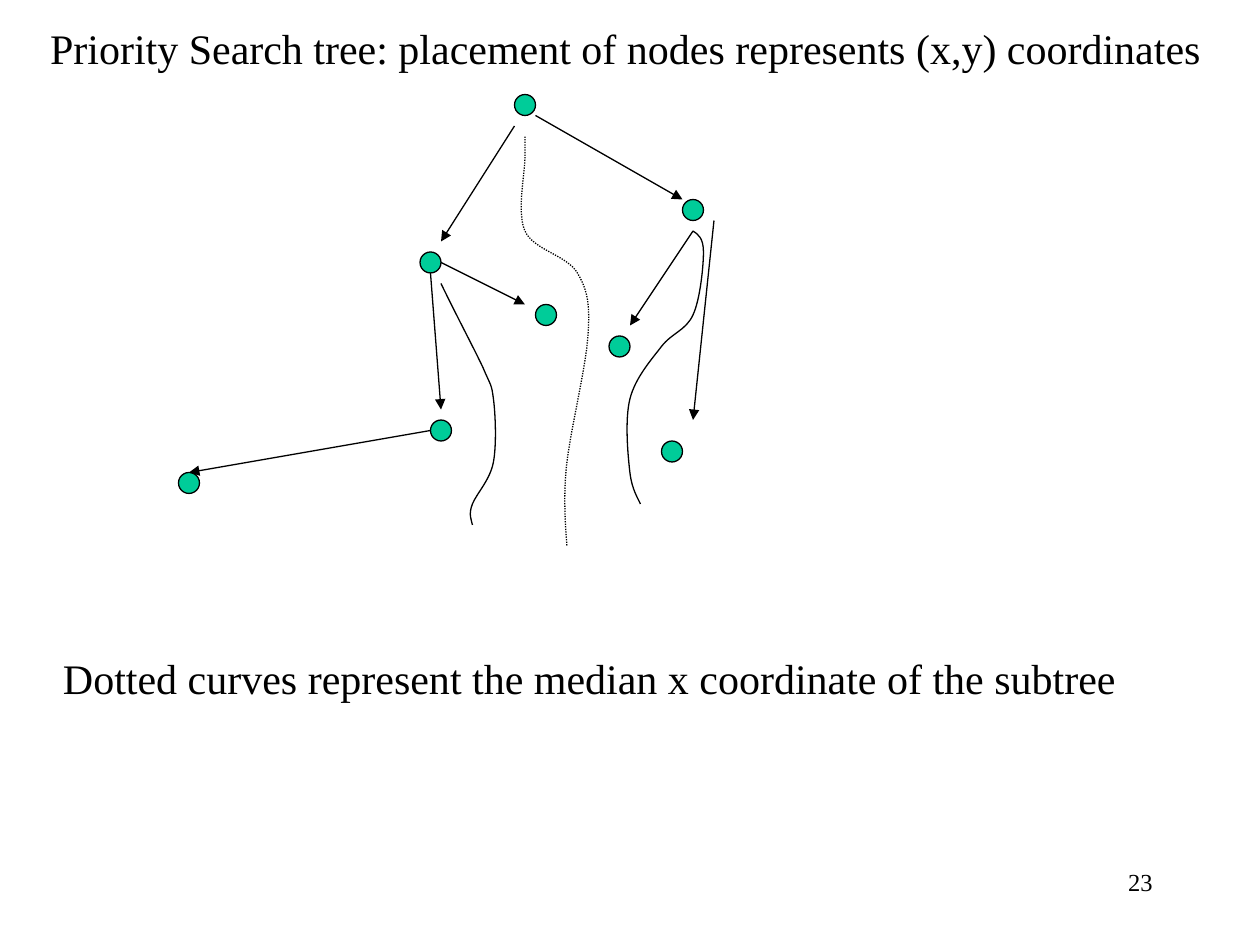
import pptx
import pptx.util
import pptx.dml.color
import pptx.enum.dml
import pptx.enum.shapes
import pptx.enum.text
import pptx.oxml.ns
import lxml.etree

Cm, Pt = pptx.util.Cm, pptx.util.Pt
RGB = pptx.dml.color.RGBColor
Align = pptx.enum.text.PP_ALIGN
Fit = pptx.enum.text.MSO_AUTO_SIZE
Dash = pptx.enum.dml.MSO_LINE
qn = pptx.oxml.ns.qn
theme = {
    "ink": RGB(0, 0, 0),
    "node": RGB(0x00, 0xCC, 0x99),
    "line": {"width": Pt(0.75)},
    "head": {"name": "Times New Roman", "size": Pt(24)},
    "foot": {"name": "Times New Roman", "size": Pt(14)},
}
unit = 2.54 / 12


def grid(*nums):
    return [Cm(n * unit) for n in nums]


def ink(line, **more):
    line.fill.solid()
    line.fill.fore_color.rgb = theme["ink"]
    for key, val in {**theme["line"], **more}.items():
        setattr(line, key, val)


deck = pptx.Presentation()
deck.slide_width, deck.slide_height = Cm(25.4), Cm(19.05)
slide = deck.slides.add_slide(deck.slide_layouts[6])
shapes = slide.shapes

nodes = [(40, 24), (63, 42), (65, 19), (49, 9),
         (17, 45), (41, 40), (51, 29), (58, 32)]
for x, y in nodes:
    node = shapes.add_shape(pptx.enum.shapes.MSO_SHAPE.OVAL, *grid(x, y, 2, 2))
    node.shadow.inherit = False
    node.fill.solid()
    node.fill.fore_color.rgb = theme["node"]
    ink(node.line)

edges = [(49, 12, 42, 23), (51, 11, 65, 19), (41, 26, 42, 39),
         (42, 25, 50, 29), (41, 41, 18, 45), (66, 22, 60, 31),
         (68, 21, 66, 40)]
for ends in edges:
    edge = shapes.add_connector(
        pptx.enum.shapes.MSO_CONNECTOR.STRAIGHT, *grid(*ends))
    ink(edge.line)
    tip = lxml.etree.SubElement(
        edge.line._get_or_add_ln(), qn("a:tailEnd"))
    tip.set("type", "triangle")
    lxml.etree.SubElement(edge._element.spPr, qn("a:effectLst"))

curves = [
    ({"dash_style": Dash.ROUND_DOT}, (50, 13), [
        (50, 13.25), (50, 13.5), (50, 15), (50, 16.5), (49.2, 20.2), (50, 22),
        (50.8, 23.8), (54, 24.3), (55, 26), (56, 27.7), (56.2, 29), (56, 32),
        (55.8, 35), (54.4, 40.7), (54, 44),
        (53.6, 47.3), (53.9, 50.7), (54, 52)]),
    ({}, (42, 27), [
        (43.5, 30.1), (45.1, 33.1), (46, 35), (46.8, 36.9), (46.8, 36.5),
        (47, 38), (47.2, 39.5), (47.3, 42.4), (47, 44), (46.7, 45.7),
        (45.4, 47), (45, 48), (44.6, 49), (44.9, 49.5), (45, 50)]),
    ({}, (66, 22), [
        (66.5, 22.3), (67, 22.7), (67, 24), (67, 25.3), (66.7, 28.5), (66, 30),
        (65.3, 31.5), (64, 31.7), (63, 33), (62, 34.3), (60.5, 36), (60, 38),
        (59.5, 40), (59.8, 43.3), (60, 45),
        (60.2, 46.7), (60.8, 47.5), (61, 48)]),
]
for style, start, dots in curves:
    pen = shapes.build_freeform(*grid(*start))
    pen.add_line_segments([grid(*dot) for dot in dots], close=False)
    curve = pen.convert_to_shape()
    curve.shadow.inherit = False
    curve.fill.background()
    ink(curve.line, **style)
    legs = list(curve._element.iter(qn("a:lnTo")))
    track = legs[0].getparent()
    for first in range(0, len(legs), 3):
        bend = lxml.etree.SubElement(track, qn("a:cubicBezTo"))
        for leg in legs[first:first + 3]:
            bend.append(leg[0])
            track.remove(leg)

labels = [
    ("Priority Search tree: placement of nodes represents (x,y) coordinates",
     (0.76, 0.33, 23.8, 1.27), "head", Align.LEFT, False, Fit.SHAPE_TO_FIT_TEXT),
    ("Dotted curves represent the median x coordinate of the subtree",
     (1.02, 13.03, 21.74, 1.27), "head", Align.LEFT, False, Fit.SHAPE_TO_FIT_TEXT),
    ("23", (18.21, 17.35, 5.28, 1.27), "foot", Align.RIGHT, True, Fit.NONE),
]
for text, place, kind, align, wrap, fit in labels:
    frame = shapes.add_textbox(*map(Cm, place)).text_frame
    for key, val in {"text": text, "word_wrap": wrap, "auto_size": fit}.items():
        setattr(frame, key, val)
    para = frame.paragraphs[0]
    para.alignment = align
    font = para.runs[0].font
    for key, val in theme[kind].items():
        setattr(font, key, val)
    font.color.rgb = theme["ink"]

deck.save("out.pptx")
